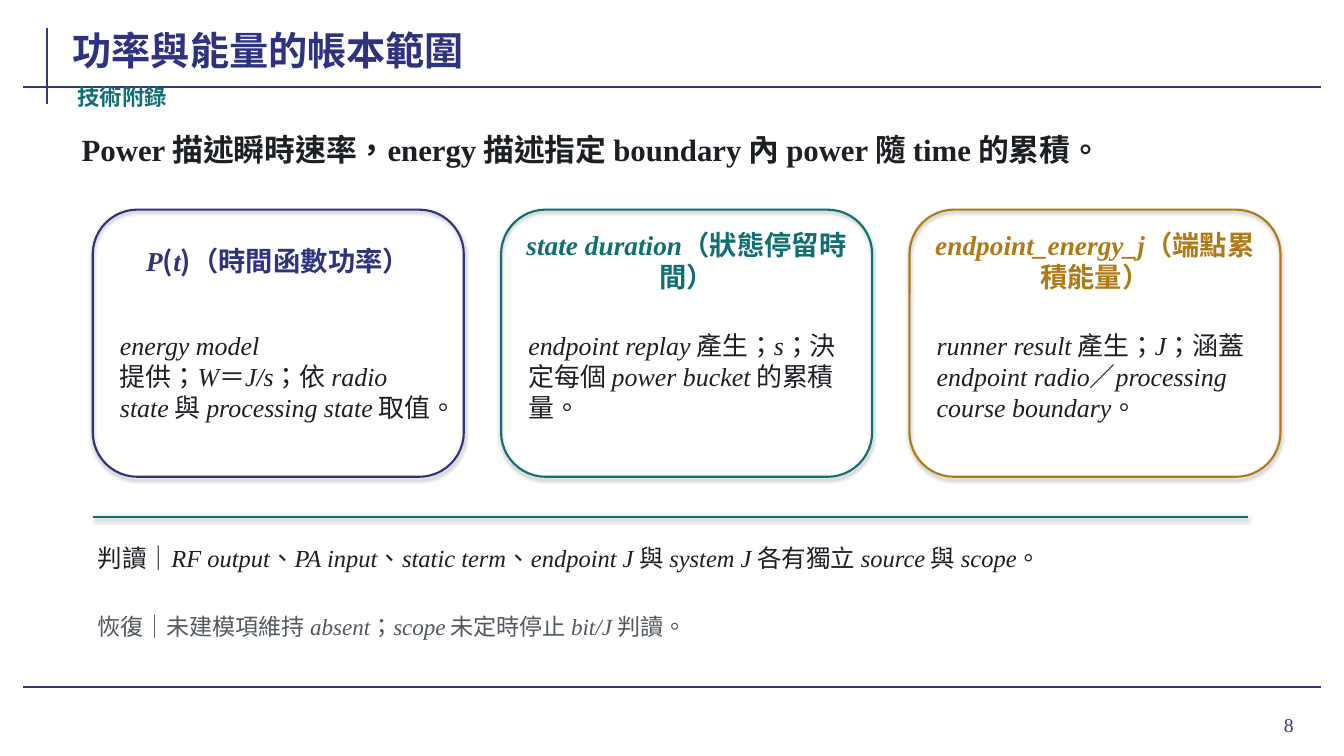
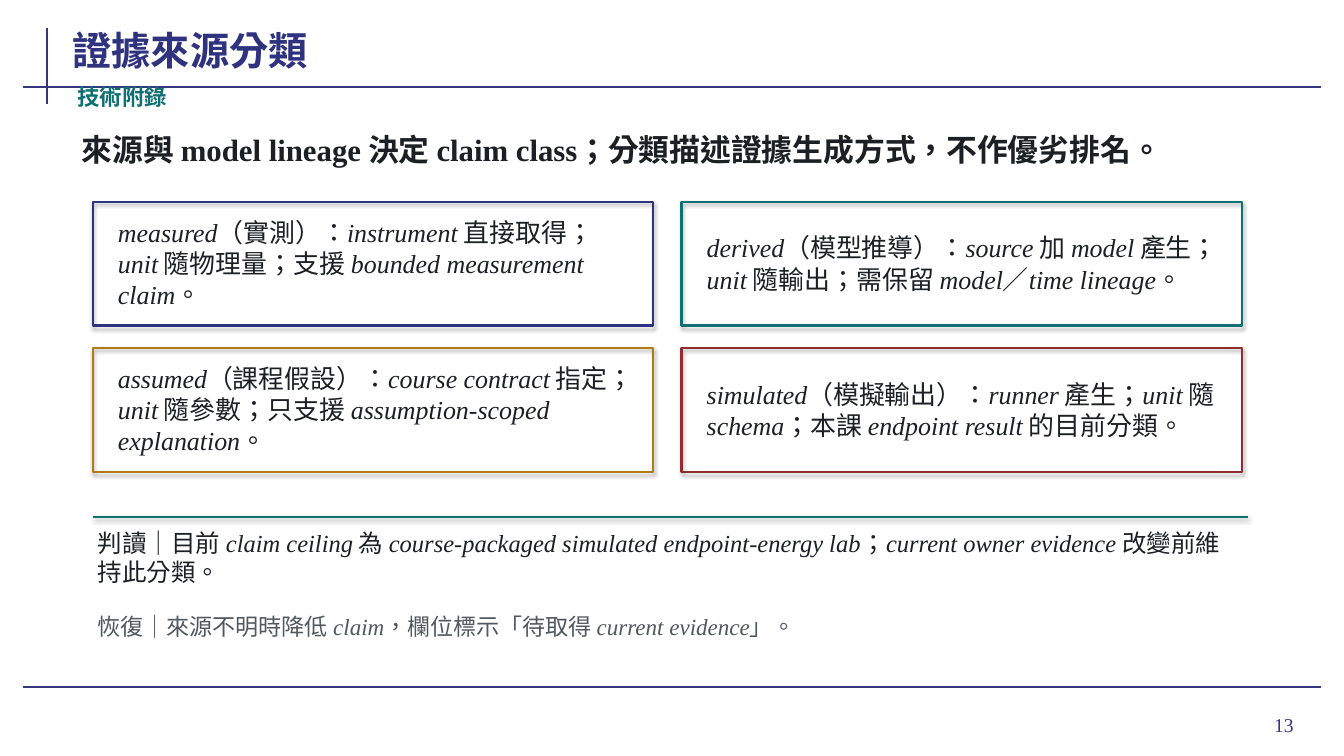
"""Build two slides of a technical appendix on energy accounting and evidence classes."""
from lxml import etree
from pptx import Presentation
from pptx.dml.color import RGBColor
from pptx.enum import shapes, text
from pptx.oxml import ns
from pptx.util import Inches, Pt

NAVY = RGBColor(0x2F, 0x32, 0x7F)
RULE = RGBColor(0x35, 0x37, 0x7F)
TEAL = RGBColor(0x0F, 0x6F, 0x73)
GOLD = RGBColor(0xB0, 0x7A, 0x17)
RED = RGBColor(0x8F, 0x2E, 0x2E)
INK = RGBColor(0x1C, 0x1F, 0x24)
GREY = RGBColor(0x52, 0x58, 0x60)
CJK_FONT = "Noto Sans CJK SC"
LATIN_FONT = "Times New Roman"
LEFT = 0.92
RULES = [(0.47, 0.28, 0.47, 1.03), (0.23, 0.86, 13.1, 0.86), (0.23, 6.82, 13.1, 6.82)]

LEDGER_CARDS = [
    (NAVY, "*P*(*t*)（時間函數功率）",
     "*energy model* 提供；*W*＝*J/s*；依 *radio state* 與 *processing state* 取值。"),
    (TEAL, "*state duration*（狀態停留時間）",
     "*endpoint replay* 產生；*s*；決定每個 *power bucket* 的累積量。"),
    (GOLD, "*endpoint_energy_j*（端點累積能量）",
     "*runner result* 產生；*J*；涵蓋 *endpoint radio*／*processing course boundary*。"),
]
EVIDENCE_CLASSES = [
    (NAVY, "*measured*（實測）：*instrument* 直接取得；*unit* 隨物理量；"
           "支援 *bounded measurement claim*。"),
    (TEAL, "*derived*（模型推導）：*source* 加 *model* 產生；*unit* 隨輸出；"
           "需保留 *model*／*time lineage*。"),
    (GOLD, "*assumed*（課程假設）：*course contract* 指定；*unit* 隨參數；"
           "只支援 *assumption-scoped explanation*。"),
    (RED, "*simulated*（模擬輸出）：*runner* 產生；*unit* 隨 *schema*；"
          "本課 *endpoint result* 的目前分類。"),
]


def add_text(slide, content, left, top, width, height, *, size, color=INK, bold=False,
             italic_terms=True, align=text.PP_ALIGN.LEFT, anchor=text.MSO_ANCHOR.MIDDLE,
             inset=0.05, wrap=True):
    """Add a text box in which *terms* between asterisks take the Latin font."""
    box = slide.shapes.add_textbox(Inches(left), Inches(top), Inches(width), Inches(height))
    frame = box.text_frame
    frame.word_wrap = wrap
    frame.vertical_anchor = anchor
    frame.margin_left = frame.margin_right = Inches(inset)
    frame.margin_top = frame.margin_bottom = Inches(inset)
    paragraph = frame.paragraphs[0]
    paragraph.alignment = align
    for index, part in enumerate(content.split("*")):
        if not part:
            continue
        is_term = index % 2 == 1
        run = paragraph.add_run()
        run.text = part
        font = run.font
        font.size = Pt(size)
        font.bold = bold
        font.italic = is_term and italic_terms
        font.color.rgb = color
        font.name = LATIN_FONT if is_term else CJK_FONT
        properties = run._r.get_or_add_rPr()
        properties.set("lang", "zh-TW")
        etree.SubElement(properties, ns.qn("a:ea"), typeface=CJK_FONT)


def set_shadow(shape, distance=0, opacity=0):
    """Replace the theme shadow with a soft downward one, or with none."""
    effects = etree.SubElement(shape._element.spPr, ns.qn("a:effectLst"))
    if opacity:
        shadow = etree.SubElement(effects, ns.qn("a:outerShdw"), blurRad=str(Pt(3.1)),
                                  dist=str(Pt(distance)), dir="5400000", rotWithShape="0")
        black = etree.SubElement(shadow, ns.qn("a:srgbClr"), val="000000")
        etree.SubElement(black, ns.qn("a:alpha"), val=str(opacity * 1000))


def add_rule(slide, ends, color, width=1.5, **shadow):
    """Add a straight line between two points."""
    rule = slide.shapes.add_connector(shapes.MSO_CONNECTOR.STRAIGHT, *map(Inches, ends))
    rule.line.color.rgb = color
    rule.line.width = Pt(width)
    set_shadow(rule, **shadow)


def add_frame(slide, kind, left, top, width, height, color):
    """Add an unfilled outline with a shadow."""
    frame = slide.shapes.add_shape(kind, Inches(left), Inches(top),
                                   Inches(width), Inches(height))
    frame.fill.background()
    frame.line.color.rgb = color
    frame.line.width = Pt(1.5)
    set_shadow(frame, distance=1.8, opacity=35)


def add_base_slide(deck, title, number, message, reading, recovery):
    """Add a slide with the shared rules, heading, message, notes and number."""
    slide = deck.slides.add_slide(deck.slide_layouts[6])
    for ends in RULES:
        add_rule(slide, ends, RULE)
    add_text(slide, f"*{number}*", 11.96, 6.93, 0.97, 0.52, size=14, color=RULE,
             italic_terms=False, align=text.PP_ALIGN.RIGHT, inset=0.1)
    add_text(slide, title, 0.72, 0.2, 10.35, 0.53, size=28, color=NAVY, bold=True,
             anchor=text.MSO_ANCHOR.BOTTOM, inset=0, wrap=False)
    add_text(slide, "技術附錄", 0.72, 0.82, 1.55, 0.27, size=16, color=TEAL, bold=True)
    add_text(slide, message, 0.76, 1.12, 11.95, 0.72, size=22, bold=True, italic_terms=False)
    add_rule(slide, (LEFT, 5.13, 12.38, 5.13), TEAL, 1.6, distance=1.6, opacity=38)
    add_text(slide, "判讀｜" + reading, LEFT, 5.18, 11.46, 0.7, size=17.5)
    add_text(slide, "恢復｜" + recovery, LEFT, 5.92, 11.46, 0.58, size=16.5, color=GREY)
    return slide


def add_ledger_cards(slide):
    """Add the row of rounded cards, each with a heading and a body."""
    top = 2.08
    for column, (color, heading, body) in enumerate(LEDGER_CARDS):
        left = LEFT + column * 4.05
        add_frame(slide, shapes.MSO_SHAPE.ROUNDED_RECTANGLE, left, top, 3.68, 2.65, color)
        add_text(slide, heading, left + 0.18, top + 0.19, 3.32, 0.63, size=19.5,
                 color=color, bold=True, align=text.PP_ALIGN.CENTER)
        add_text(slide, body, left + 0.22, top + 0.93, 3.24, 1.45, size=18.5)


def add_evidence_grid(slide):
    """Add the two-by-two grid of evidence classes."""
    for index, (color, body) in enumerate(EVIDENCE_CLASSES):
        row, column = divmod(index, 2)
        left, top = LEFT + column * 5.84, 2 + row * 1.45
        add_frame(slide, shapes.MSO_SHAPE.RECTANGLE, left, top, 5.56, 1.23, color)
        add_text(slide, body, left + 0.2, top + 0.12, 5.16, 0.98, size=18.5)


def main():
    """Build and save the deck."""
    deck = Presentation()
    deck.slide_width, deck.slide_height = Inches(13.33), Inches(7.5)
    add_ledger_cards(add_base_slide(
        deck, "功率與能量的帳本範圍", 8,
        "*Power* 描述瞬時速率，*energy* 描述指定 *boundary* 內 *power* 隨 *time* 的累積。",
        "*RF output*、*PA input*、*static term*、*endpoint J* 與 *system J* "
        "各有獨立 *source* 與 *scope*。",
        "未建模項維持 *absent*；*scope* 未定時停止 *bit/J* 判讀。"))
    add_evidence_grid(add_base_slide(
        deck, "證據來源分類", 13,
        "來源與 *model lineage* 決定 *claim class*；分類描述證據生成方式，不作優劣排名。",
        "目前 *claim ceiling* 為 *course-packaged simulated endpoint-energy lab*；"
        "*current owner evidence* 改變前維持此分類。",
        "來源不明時降低 *claim*，欄位標示「待取得 *current evidence*」。"))
    deck.save("out.pptx")


if __name__ == "__main__":
    main()
